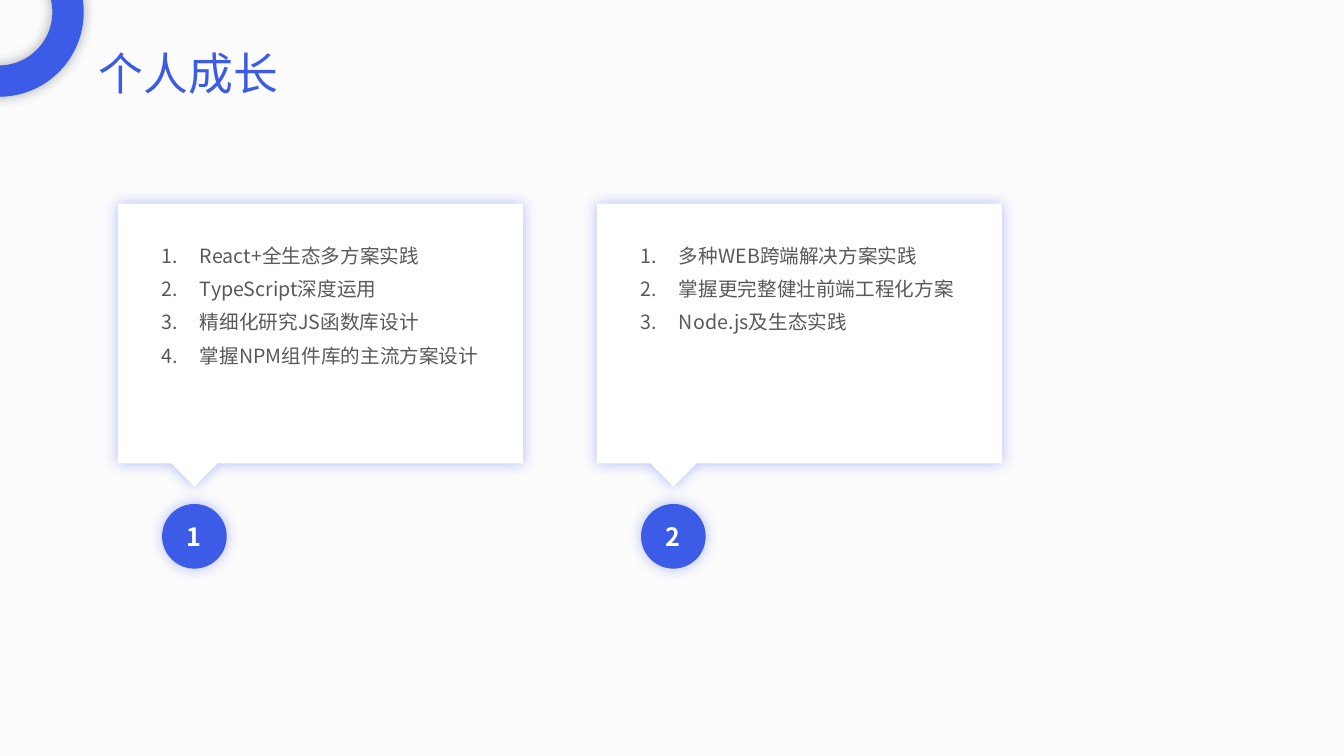
from dataclasses import dataclass

import pptx
import pptx.dml.color
import pptx.enum.shapes
import pptx.enum.text
import pptx.oxml
import pptx.oxml.ns
import pptx.util

Cm = pptx.util.Cm
Pt = pptx.util.Pt

TITLE = "个人成长"
CARDS = [
    {
        "number": "1",
        "list_width": 10.85,
        "items": [
            "React+全生态多方案实践",
            "TypeScript深度运用",
            "精细化研究JS函数库设计",
            "掌握NPM组件库的主流方案设计",
        ],
    },
    {
        "number": "2",
        "list_width": 11.28,
        "items": [
            "多种WEB跨端解决方案实践",
            "掌握更完整健壮前端工程化方案",
            "Node.js及生态实践",
        ],
    },
]


@dataclass(frozen=True)
class Theme:
    font: str = "Noto Sans CJK SC"
    background: str = "FCFCFC"
    accent: str = "3C5CE8"
    card: str = "FFFFFF"
    body: str = "595959"
    ring_shadow: str = "222A35"
    title_size: int = 32
    body_size: int = 14
    number_size: int = 18


THEME = Theme()

CARD_LEFT, CARD_TOP, CARD_WIDTH, CARD_HEIGHT = 2.97, 5.13, 10.21, 6.55
CARD_PITCH = 12.07
TIP_OFFSET, TIP_SIZE = 1.93, 0.58
BADGE_TOP, BADGE_SIZE = 12.7, 1.63
LIST_OFFSET, LIST_TOP, LIST_HEIGHT = 0.41, 5.66, 5.56
LIST_INDENT = 0.97
RING_LEFT, RING_TOP, RING_SIZE, RING_BAND = -2.16, -1.83, 4.27, 0.79


def color(value):
    return pptx.dml.color.RGBColor.from_string(value)


def paint(shape, fill, shadow):
    shape.fill.solid()
    shape.fill.fore_color.rgb = color(fill)
    shape.line.fill.background()
    shape.shadow.inherit = False
    effects = shape._element.spPr.find(pptx.oxml.ns.qn("a:effectLst"))
    effects.append(pptx.oxml.parse_xml(
        f'<a:outerShdw {pptx.oxml.ns.nsdecls("a")} blurRad="{Pt(10)}" dist="0" '
        f'algn="ctr" rotWithShape="0"><a:srgbClr val="{shadow}">'
        '<a:alpha val="40000"/></a:srgbClr></a:outerShdw>'))


def set_font(paragraph, size, value, bold=False):
    font = paragraph.font
    font.name = THEME.font
    font.size = Pt(size)
    font.bold = bold
    font.color.rgb = color(value)
    latin = font._element.find(pptx.oxml.ns.qn("a:latin"))
    latin.addnext(pptx.oxml.parse_xml(
        f'<a:ea {pptx.oxml.ns.nsdecls("a")} typeface="{THEME.font}"/>'))


def place(placeholder, left, top, width, height):
    placeholder.left, placeholder.top = Cm(left), Cm(top)
    placeholder.width, placeholder.height = Cm(width), Cm(height)
    frame = placeholder.text_frame
    frame.word_wrap = True
    frame.auto_size = pptx.enum.text.MSO_AUTO_SIZE.NONE
    frame.vertical_anchor = pptx.enum.text.MSO_ANCHOR.TOP
    return frame


def add_ring(slide):
    ring = slide.shapes.add_shape(
        pptx.enum.shapes.MSO_SHAPE.DONUT,
        Cm(RING_LEFT), Cm(RING_TOP), Cm(RING_SIZE), Cm(RING_SIZE))
    ring.adjustments[0] = RING_BAND / RING_SIZE
    paint(ring, THEME.accent, THEME.ring_shadow)


def add_callout(slide, left):
    right, bottom, tip = left + CARD_WIDTH, CARD_TOP + CARD_HEIGHT, left + TIP_OFFSET
    outline = [
        (right, CARD_TOP), (right, bottom), (tip + TIP_SIZE, bottom),
        (tip, bottom + TIP_SIZE), (tip - TIP_SIZE, bottom), (left, bottom),
    ]
    builder = slide.shapes.build_freeform(Cm(left), Cm(CARD_TOP))
    builder.add_line_segments([(Cm(x), Cm(y)) for x, y in outline])
    paint(builder.convert_to_shape(), THEME.card, THEME.accent)


def add_badge(slide, left, number):
    badge = slide.shapes.add_shape(
        pptx.enum.shapes.MSO_SHAPE.OVAL,
        Cm(left + TIP_OFFSET - BADGE_SIZE / 2), Cm(BADGE_TOP),
        Cm(BADGE_SIZE), Cm(BADGE_SIZE))
    paint(badge, THEME.accent, THEME.accent)
    frame = badge.text_frame
    frame.vertical_anchor = pptx.enum.text.MSO_ANCHOR.MIDDLE
    frame.text = number
    paragraph = frame.paragraphs[0]
    paragraph.alignment = pptx.enum.text.PP_ALIGN.CENTER
    set_font(paragraph, THEME.number_size, THEME.card, bold=True)


def fill_list(placeholder, left, card):
    frame = place(placeholder, left + LIST_OFFSET, LIST_TOP, card["list_width"], LIST_HEIGHT)
    frame.margin_left = frame.margin_right = Cm(0.69)
    frame.margin_top = frame.margin_bottom = Cm(0.33)
    frame.text = "\n".join(card["items"])
    for paragraph in frame.paragraphs:
        paragraph.line_spacing = 1.25
        paragraph.space_before = Pt(2.8)
        set_font(paragraph, THEME.body_size, THEME.body)
        properties = paragraph._p.get_or_add_pPr()
        properties.set("marL", str(Cm(LIST_INDENT)))
        properties.set("indent", str(-Cm(LIST_INDENT)))
        properties.find(pptx.oxml.ns.qn("a:defRPr")).addprevious(pptx.oxml.parse_xml(
            f'<a:buAutoNum {pptx.oxml.ns.nsdecls("a")} type="arabicPeriod"/>'))


def main():
    presentation = pptx.Presentation()
    presentation.slide_width, presentation.slide_height = Cm(33.87), Cm(19.05)
    slide = presentation.slides.add_slide(
        presentation.slide_layouts.get_by_name("Two Content"))
    slide.background.fill.solid()
    slide.background.fill.fore_color.rgb = color(THEME.background)
    title, *lists = slide.placeholders

    add_ring(slide)
    frame = place(title, 2.24, 1.02, 11.73, 1.63)
    frame.text = TITLE
    frame.paragraphs[0].alignment = pptx.enum.text.PP_ALIGN.LEFT
    set_font(frame.paragraphs[0], THEME.title_size, THEME.accent)

    for index, (placeholder, card) in enumerate(zip(lists, CARDS)):
        left = CARD_LEFT + index * CARD_PITCH
        add_badge(slide, left, card["number"])
        add_callout(slide, left)
        fill_list(placeholder, left, card)
        slide.shapes._spTree.append(placeholder._element)

    presentation.save("out.pptx")


if __name__ == "__main__":
    main()
